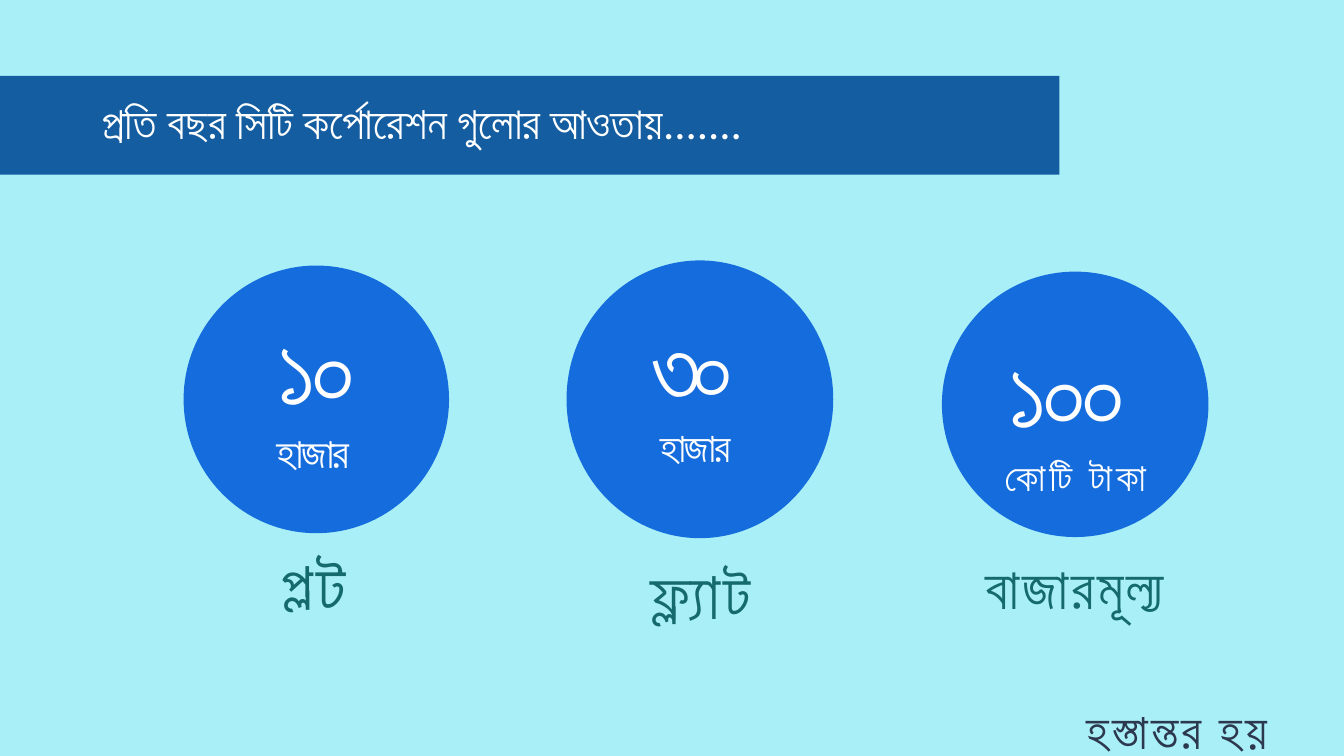
from lxml import etree
from pptx import Presentation
from pptx import util as u
from pptx.dml.color import RGBColor
from pptx.enum import shapes, text
from pptx.oxml import ns

SKY = RGBColor(0xA9, 0xEF, 0xF8)
NAVY = RGBColor(0x14, 0x5D, 0xA0)
BLUE = RGBColor(0x15, 0x6C, 0xDD)
TEAL = RGBColor(0x15, 0x6A, 0x6D)
SLATE = RGBColor(0x2C, 0x38, 0x4D)
WHITE = RGBColor(0xFF, 0xFF, 0xFF)

CENTER = text.PP_ALIGN.CENTER
JUSTIFY = text.PP_ALIGN.JUSTIFY


class SlideBuilder:
    font_name = "Calibri"

    def __init__(self, slide):
        self.slide = slide

    def background(self, color):
        fill = self.slide.background.fill
        fill.solid()
        fill.fore_color.rgb = color

    def solid(self, kind, box, color):
        shape = self.slide.shapes.add_shape(kind, *map(u.Pt, box))
        shape.shadow.inherit = False
        shape.fill.solid()
        shape.fill.fore_color.rgb = color
        shape.line.fill.background()

    def label(self, box, lines, color, align=CENTER):
        """Each line is (wording, size, line height, letter spacing)."""
        frame = self.slide.shapes.add_textbox(*map(u.Pt, box)).text_frame
        frame.margin_left = frame.margin_right = 0
        frame.margin_top = frame.margin_bottom = 0
        frame.word_wrap = True
        frame.auto_size = text.MSO_AUTO_SIZE.SHAPE_TO_FIT_TEXT
        frame.text = "\n".join(line[0] for line in lines)
        for paragraph, (_, size, height, spacing) in zip(frame.paragraphs, lines):
            paragraph.alignment = align
            paragraph.line_spacing = u.Pt(height)
            for run in paragraph.runs:
                run.font.size = u.Pt(size)
                run.font.name = self.font_name
                run.font.color.rgb = color
                # Bengali uses the complex-script font
                properties = run._r.get_or_add_rPr()
                properties.set("spc", str(round(spacing * 100)))
                etree.SubElement(properties, ns.qn("a:cs"), typeface=self.font_name)


def main():
    presentation = Presentation()
    presentation.slide_width = u.Pt(1440)
    presentation.slide_height = u.Pt(810)
    builder = SlideBuilder(presentation.slides.add_slide(presentation.slide_layouts[6]))
    builder.background(SKY)

    # Title band
    builder.solid(shapes.MSO_SHAPE.RECTANGLE, (0, 81.2, 1135, 106), NAVY)
    builder.label((109.4, 106.6, 1004.4, 53.3),
                  [("প্রতি বছর সিটি কর্পোরেশন গুলোর আওতায়.......", 48, 53, 0)],
                  WHITE, JUSTIFY)

    # Circles
    for circle in ((196.7, 284.5, 284.4, 286.8),
                   (607, 279, 285.8, 297.6),
                   (1009.2, 291, 285.6, 284.4)):
        builder.solid(shapes.MSO_SHAPE.OVAL, circle, BLUE)

    # Figures inside the circles
    builder.label((232.6, 326.2, 212.4, 185),
                  [("১০", 108.5, 130.2, -6.5), ("হাজার ", 45.3, 54.4, -2.7)], WHITE)
    builder.label((624.2, 320.4, 248.4, 184.3),
                  [("৩০ ", 100, 130, -10.3), ("হাজার ", 44, 54.4, -2.7)], WHITE)
    builder.label((1033.2, 351.4, 237.6, 129.6), [("১০০ ", 108, 129.6, -6.5)], WHITE)
    builder.label((1033.2, 480.2, 237.6, 53.3), [("কোটি টাকা", 41.8, 54.4, 4.2)], WHITE)

    # Captions below the circles
    builder.label((190.8, 571, 290.9, 100.8), [("প্লট", 78, 101.4, 3.9)], TEAL)
    builder.label((619.2, 583.9, 262.8, 95), [("ফ্ল্যাট", 72.4, 94.1, 3.6)], TEAL)
    builder.label((979.2, 585.4, 344.9, 77.8), [("বাজারমূল্য", 61.8, 80.4, 3.1)], TEAL)

    # Closing words
    builder.label((1164.2, 735.8, 292.3, 95), [("হস্তান্তর হয়", 54, 77.7, 3.2)],
                  SLATE, JUSTIFY)

    presentation.save("out.pptx")


if __name__ == "__main__":
    main()
